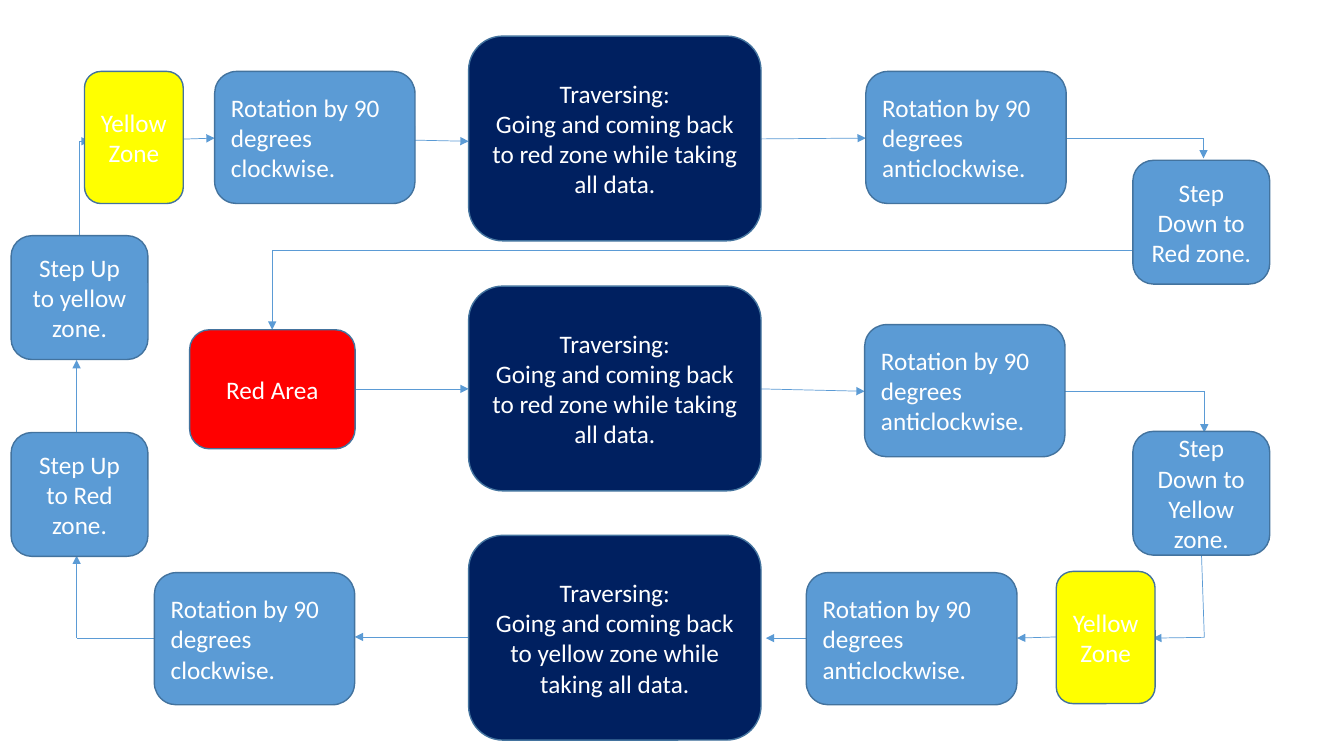
from pptx import Presentation
from pptx.dml.color import RGBColor
from pptx.enum.shapes import MSO_CONNECTOR as Connector, MSO_SHAPE as Shape
from pptx.enum.text import MSO_ANCHOR as Anchor, PP_ALIGN as Align
from pptx.oxml.ns import qn
from pptx.util import Cm, Pt
from lxml.etree import SubElement

WHITE = RGBColor(0xFF, 0xFF, 0xFF)
BLUE = RGBColor(0x5B, 0x9B, 0xD5)
NAVY = RGBColor(0x00, 0x20, 0x60)
RED = RGBColor(0xFF, 0x00, 0x00)
YELLOW = RGBColor(0xFF, 0xFF, 0x00)
OUTLINE = RGBColor(0x43, 0x73, 0x9E)

# Box kinds: width and height in cm, fill, alignment
TRAVERSE = (7.37, 5.16, NAVY, Align.CENTER)
ROTATE = (5.05, 3.33, BLUE, Align.LEFT)
WIDE_ROTATE = (5.31, 3.33, BLUE, Align.LEFT)
STEP = (3.45, 3.12, BLUE, Align.CENTER)
YELLOW_ZONE = (2.49, 3.33, YELLOW, Align.CENTER)
RED_AREA = (4.17, 3, RED, Align.CENTER)

TRAVERSE_TEXT = "Traversing:\nGoing and coming back to {} zone while taking all data."
ROTATE_TEXT = "Rotation by 90 degrees {}."

# Routes from box to box, as corner points in cm; each ends in an arrowhead
ROUTES = [
    [(4.47, 3.51), (5.41, 3.48)],
    [(10.39, 3.53), (11.81, 3.56)],
    [(19.18, 3.5), (21.82, 3.48)],
    [(26.87, 3.48), (30.33, 3.48), (30.33, 3.99)],
    [(29.06, 6.32), (6.86, 6.32), (6.86, 8.31)],
    [(8.94, 9.8), (11.81, 9.8)],
    [(19.18, 9.8), (21.79, 9.86)],
    [(26.85, 9.86), (30.35, 9.86), (30.35, 10.9)],
    [(30.28, 14), (30.35, 16.06), (29.06, 16.08)],
    [(26.62, 16.05), (25.63, 16.08)],
    [(20.32, 16.08), (19.3, 16.08)],
    [(11.81, 16.05), (8.94, 16.05)],
    [(3.89, 16.08), (1.93, 16.08), (1.93, 14)],
    [(1.93, 11.07), (1.93, 9.07)],
    [(2.01, 5.94), (2.01, 3.56), (2.26, 3.56)],
]

BOXES = [
    (YELLOW_ZONE, 2.13, 1.8, "Yellow Zone"),
    (ROTATE, 5.41, 1.8, ROTATE_TEXT.format("clockwise")),
    (TRAVERSE, 11.81, 0.91, TRAVERSE_TEXT.format("red")),
    (ROTATE, 21.82, 1.8, ROTATE_TEXT.format("anticlockwise")),
    (STEP, 28.55, 4.04, "Step Down to Red zone."),
    (RED_AREA, 4.78, 8.31, "Red Area"),
    (TRAVERSE, 11.81, 7.21, TRAVERSE_TEXT.format("red")),
    (ROTATE, 21.79, 8.18, ROTATE_TEXT.format("anticlockwise")),
    (STEP, 28.55, 10.87, "Step Down to Yellow zone."),
    (YELLOW_ZONE, 26.62, 14.4, "Yellow Zone"),
    (WIDE_ROTATE, 20.32, 14.43, ROTATE_TEXT.format("anticlockwise")),
    (TRAVERSE, 11.81, 13.49, TRAVERSE_TEXT.format("yellow")),
    (ROTATE, 3.89, 14.43, ROTATE_TEXT.format("clockwise")),
    (STEP, 0.28, 10.9, "Step Up to Red zone."),
    (STEP, 0.28, 5.94, "Step Up to yellow zone."),
]


class FlowSlide:
    """Holds the text style and the slide being drawn."""

    font_format = {"name": "Calibri", "size": Pt(18)}
    frame_format = {"word_wrap": True, "vertical_anchor": Anchor.MIDDLE}

    def __init__(self, slide):
        """Keep the slide that receives the elements."""
        self.slide = slide

    @staticmethod
    def apply(target, values):
        """Set each attribute in values on target."""
        for name, value in values.items():
            setattr(target, name, value)

    def box(self, kind, left, top, text):
        """Add a rounded box with one paragraph per line of text."""
        width, height, fill, alignment = kind
        box = self.slide.shapes.add_shape(
            Shape.ROUNDED_RECTANGLE, Cm(left), Cm(top), Cm(width), Cm(height))
        box.shadow.inherit = False
        box.fill.solid()
        box.fill.fore_color.rgb = fill
        box.line.color.rgb = OUTLINE
        box.line.width = Pt(1)
        frame = box.text_frame
        self.apply(frame, self.frame_format)
        frame.text = text
        for para in frame.paragraphs:
            para.alignment = alignment
            for span in para.runs:
                self.apply(span.font, self.font_format)
                span.font.color.rgb = WHITE

    def line(self, start, end, arrow):
        """Add a thin straight connector, with an arrowhead if asked."""
        line = self.slide.shapes.add_connector(
            Connector.STRAIGHT, *(Cm(value) for value in start + end))
        line.line.color.rgb = BLUE
        line.line.width = Pt(0.5)
        if arrow:
            SubElement(line.line._get_or_add_ln(), qn("a:tailEnd"), type="triangle")
        SubElement(line._element.spPr, qn("a:effectLst"))

    def route(self, points):
        """Join the points with lines; the last one carries the arrowhead."""
        for start, end in zip(points, points[1:]):
            self.line(start, end, arrow=end == points[-1])


deck = Presentation()
deck.slide_width, deck.slide_height = Cm(33.87), Cm(19.05)
page = FlowSlide(deck.slides.add_slide(deck.slide_layouts[6]))
for points in ROUTES:
    page.route(points)
for kind, left, top, text in BOXES:
    page.box(kind, left, top, text)
deck.save("out.pptx")
